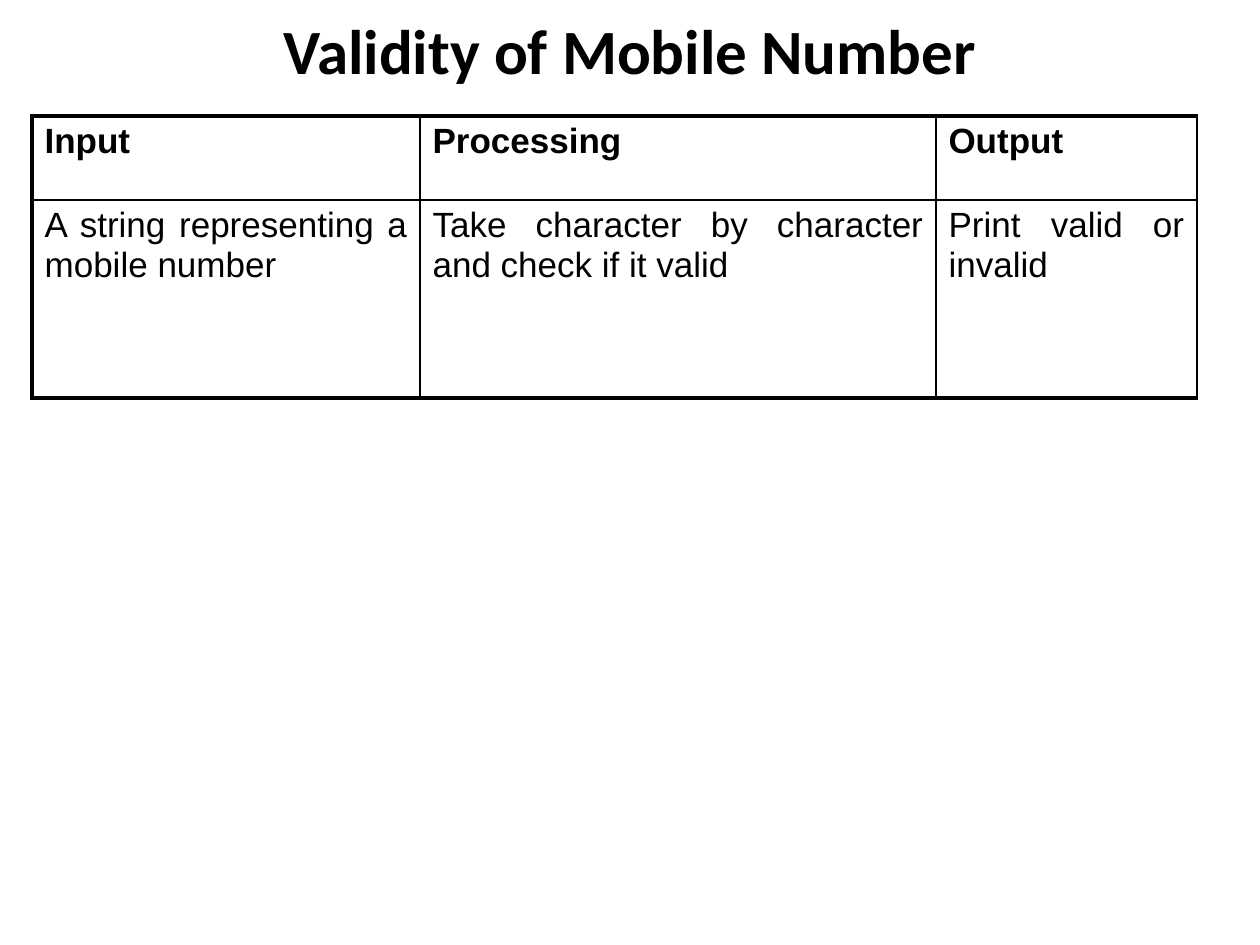
"""Build the slide on the validity of a mobile number."""
from dataclasses import dataclass

from lxml.etree import SubElement
from pptx import Presentation
from pptx.dml.color import RGBColor
from pptx.enum.text import MSO_ANCHOR as Anchor, PP_ALIGN as Align
from pptx.oxml.ns import qn
from pptx.util import Emu, Pt

SCALE = 914400 / 126


@dataclass(frozen=True)
class Theme:
    """Colours, fonts, type sizes and line widths."""
    ink: str = "000000"
    paper: str = "FFFFFF"
    title_font: str = "Calibri"
    body_font: str = "Arial"
    title_size: int = 36
    body_size: int = 20
    thin: float = 1
    thick: float = 2.25


@dataclass(frozen=True)
class Column:
    """One table column: heading, content and width in pixels."""
    heading: str
    content: str
    width: int


THEME = Theme()
COLUMNS = (
    Column("Input", "A string representing a mobile number", 388),
    Column("Processing", "Take character by character and check if it valid", 516),
    Column("Output", "Print valid or invalid", 261),
)
ROW_HEIGHTS = (84, 198)


def px(length: int) -> Emu:
    """Turn pixels into EMU."""
    return Emu(round(length * SCALE))


def write(frame, text: str, *, font: str, size: int, bold: bool, align: Align) -> None:
    """Put one formatted paragraph into a text frame."""
    frame.word_wrap = True
    para = frame.paragraphs[0]
    para.alignment = align
    span = para.add_run()
    span.text = text
    span.font.name = font
    span.font.size = Pt(size)
    span.font.bold = bold
    span.font.color.rgb = RGBColor.from_string(THEME.ink)


def set_borders(cell, widths: dict[str, float]) -> None:
    """Draw the cell's borders, given in the order L, R, T, B."""
    properties = cell._tc.get_or_add_tcPr()
    for index, (side, width) in enumerate(widths.items()):
        line = SubElement(properties, qn(f"a:ln{side}"), w=str(Pt(width)))
        fill = SubElement(line, qn("a:solidFill"))
        SubElement(fill, qn("a:srgbClr"), val=THEME.ink)
        properties.insert(index, line)


def add_title(page, text: str) -> None:
    """Place and fill the title placeholder."""
    box = page.shapes.title
    box.left, box.top, box.width, box.height = map(px, (63, 9, 1134, 81))
    box.text_frame.vertical_anchor = Anchor.MIDDLE
    write(box.text_frame, text, font=THEME.title_font, size=THEME.title_size,
          bold=True, align=Align.CENTER)


def add_grid(page, left: int, top: int) -> None:
    """Add the table of input, processing and output."""
    width = sum(column.width for column in COLUMNS)
    frame = page.shapes.add_table(len(ROW_HEIGHTS), len(COLUMNS), px(left), px(top),
                                  px(width), px(sum(ROW_HEIGHTS)))
    table = frame.table
    for row, height in zip(table.rows, ROW_HEIGHTS):
        row.height = px(height)
    for col, column in enumerate(COLUMNS):
        table.columns[col].width = px(column.width)
        for row, text in enumerate((column.heading, column.content)):
            cell = table.cell(row, col)
            cell.fill.solid()
            cell.fill.fore_color.rgb = RGBColor.from_string(THEME.paper)
            write(cell.text_frame, text, font=THEME.body_font, size=THEME.body_size,
                  bold=row == 0, align=Align.JUSTIFY)
            set_borders(cell, {
                "L": THEME.thick if col == 0 else THEME.thin,
                "R": THEME.thin,
                "T": THEME.thick if row == 0 else THEME.thin,
                "B": THEME.thick if row == len(ROW_HEIGHTS) - 1 else THEME.thin,
            })


def main() -> None:
    """Build and save the deck."""
    deck = Presentation()
    deck.slide_width, deck.slide_height = px(1260), px(945)
    page = deck.slides.add_slide(deck.slide_layouts[5])
    add_title(page, "Validity of Mobile Number")
    add_grid(page, 32, 116)
    deck.save("out.pptx")


main()
